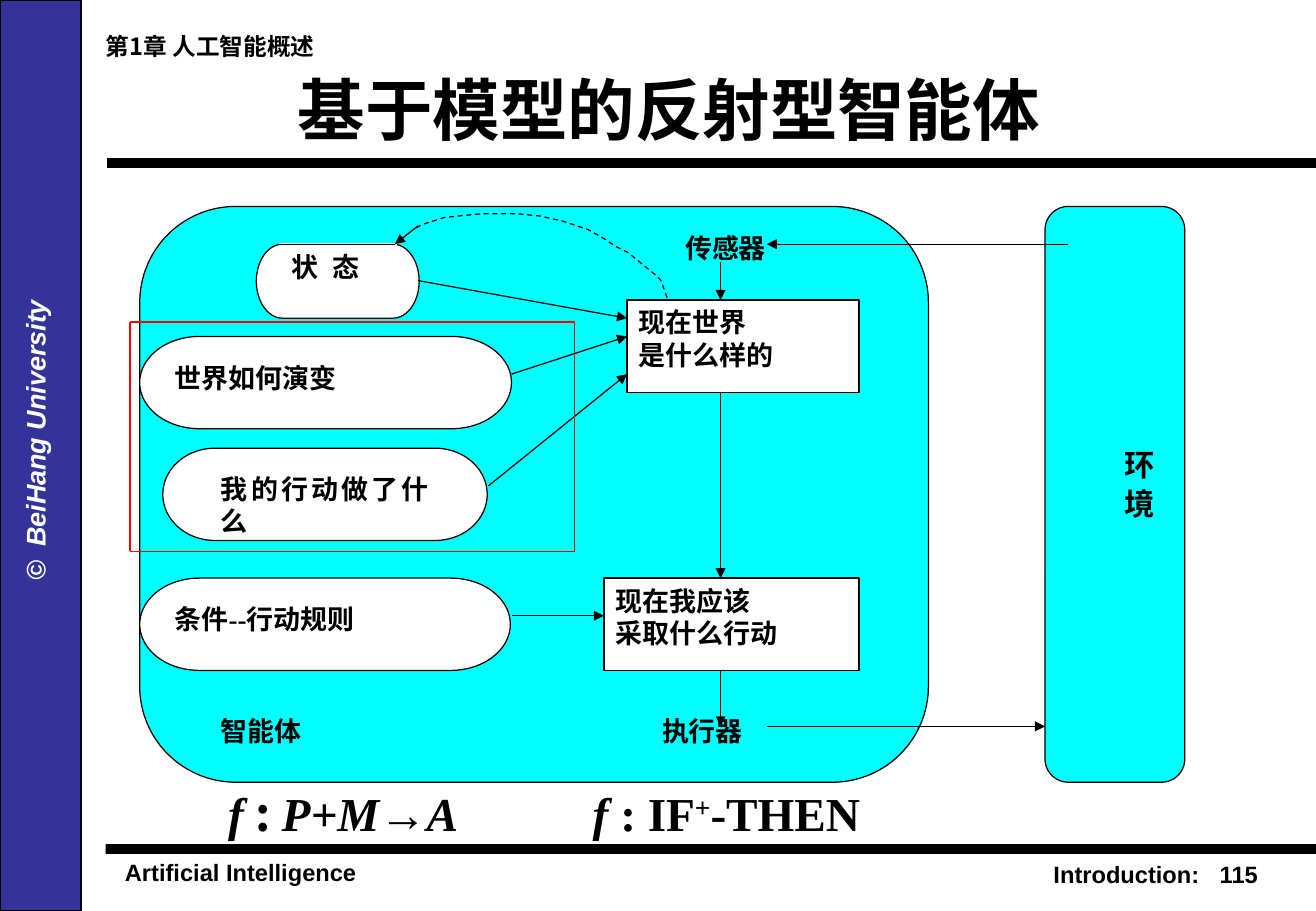
import pptx
import pptx.util
import pptx.dml.color
import pptx.enum.dml
import pptx.enum.lang
import pptx.enum.shapes
import pptx.enum.text
import pptx.oxml.ns
from lxml import etree

Inches = pptx.util.Inches
SHAPE = pptx.enum.shapes.MSO_SHAPE
ALIGN = pptx.enum.text.PP_ALIGN
COLORS = {"ink": "000000", "paper": "FFFFFF", "agent": "00FFFF",
          "band": "333399", "frame": "FF0000"}
SANS, SERIF = "Noto Sans CJK SC", "Times New Roman"
BODY = {"size": 16, "name": SERIF, "east": "Arial"}
FOOTER = {"size": 14, "name": "Arial"}


def rgb(name):
    return pptx.dml.color.RGBColor.from_string(COLORS[name])


def add_run(p, text, size, name, color="ink", italic=False, east=None, **attrs):
    r = p.add_run()
    r.text = text
    r.font.color.rgb = rgb(color)
    values = {"size": pptx.util.Pt(size), "name": name, "bold": True,
              "italic": italic,
              "language_id": pptx.enum.lang.MSO_LANGUAGE_ID.ENGLISH_US}
    for key, value in values.items():
        setattr(r.font, key, value)
    rpr = r.font._element
    etree.SubElement(rpr, pptx.oxml.ns.qn("a:ea"), typeface=east or name)
    for key, value in attrs.items():
        rpr.set(key, value)


def write(sp, paragraphs, align, wrap=True, middle=False, tab=None):
    tf = sp.text_frame
    anchor = pptx.enum.text.MSO_ANCHOR
    values = {"word_wrap": wrap,
              "vertical_anchor": anchor.MIDDLE if middle else anchor.TOP,
              "margin_left": Inches(0.1), "margin_right": Inches(0.1),
              "margin_top": Inches(0.05), "margin_bottom": Inches(0.05)}
    for key, value in values.items():
        setattr(tf, key, value)
    for i, runs in enumerate(paragraphs):
        p = tf.add_paragraph() if i else tf.paragraphs[0]
        p.alignment = align
        if tab:
            tabs = etree.SubElement(p._p.get_or_add_pPr(), pptx.oxml.ns.qn("a:tabLst"))
            etree.SubElement(tabs, pptx.oxml.ns.qn("a:tab"),
                             pos=str(Inches(tab)), algn="l")
        for text, fmt in runs:
            add_run(p, text, **fmt)


def add_text(s, at, runs, align=ALIGN.CENTER, **options):
    sp = s.shapes.add_textbox(*map(Inches, at))
    write(sp, [runs], align, **options)
    return sp


def add_box(s, kind, at, fill, line=None, width=0.75):
    sp = s.shapes.add_shape(kind, *map(Inches, at))
    sp.shadow.inherit = False
    sp.fill.solid()
    sp.fill.fore_color.rgb = rgb(fill)
    if line:
        sp.line.color.rgb = rgb(line)
        sp.line.width = pptx.util.Pt(width)
    else:
        sp.line.fill.background()
    return sp


def add_label(s, at, lines, fill, line, size=16):
    sp = add_box(s, SHAPE.RECTANGLE, at, fill, line)
    write(sp, [[(text, {**BODY, "size": size})] for text in lines], ALIGN.JUSTIFY)
    return sp


def add_line(s, start, end, color="ink", width=0.75, arrow=False):
    points = map(Inches, (*start, *end))
    c = s.shapes.add_connector(pptx.enum.shapes.MSO_CONNECTOR.STRAIGHT, *points)
    c.line.color.rgb = rgb(color)
    c.line.width = pptx.util.Pt(width)
    sp_pr = c._element.spPr
    if arrow:
        ln = sp_pr.find(pptx.oxml.ns.qn("a:ln"))
        etree.SubElement(ln, pptx.oxml.ns.qn("a:tailEnd"), type="triangle")
    etree.SubElement(sp_pr, pptx.oxml.ns.qn("a:effectLst"))


def add_dashed_curve(s, points):
    vertices = [(Inches(x), Inches(y)) for x, y in points]
    fb = s.shapes.build_freeform(*vertices[0])
    fb.add_line_segments(vertices[1:], close=False)
    sp = fb.convert_to_shape()
    sp.shadow.inherit = False
    sp.fill.background()
    sp.line.color.rgb = rgb("ink")
    sp.line.width = pptx.util.Pt(0.75)
    sp.line.dash_style = pptx.enum.dml.MSO_LINE.DASH


def add_page_frame(s):
    add_text(s, (0.93, 7.01, 2.17, 0.33), [("Artificial Intelligence", FOOTER)],
             ALIGN.LEFT, wrap=False)
    add_text(s, (7.23, 7.03, 3.22, 0.33),
             [("Introduction:", FOOTER), (" ", {**FOOTER, "spc": "800"}),
              ("115", FOOTER)], ALIGN.RIGHT)
    add_box(s, SHAPE.RECTANGLE, (0.87, 6.95, 9.96, 0.08), "ink")
    add_box(s, SHAPE.RECTANGLE, (0, 0, 0.67, 7.5), "band", "ink", 1)
    add_line(s, (0.88, 1.34), (10.83, 1.34), width=6)
    side = {"size": 16, "name": "Arial", "color": "paper", "italic": True}
    owner = add_text(s, (-3.3, 3.41, 7.18, 0.37),
                     [("©", side), (" ", {**side, "spc": "400"}),
                      ("BeiHang University ", side)])
    owner.rotation = 270
    add_text(s, (0.9, 0.46, 9.21, 0.87),
             [("基于模型的反射型智能体", {"size": 40, "name": SANS})], middle=True)
    add_text(s, (0, 0.21, 3.46, 0.34),
             [("第1章 人工智能概述", {"size": 14, "name": SANS})])


def add_agent_diagram(s):
    for at in [(1.15, 1.7, 6.49, 4.74), (8.6, 1.7, 1.15, 4.74)]:
        add_box(s, SHAPE.ROUNDED_RECTANGLE, at, "agent", "ink")
    for at, text in [((5.54, 1.86, 1.34, 0.46), "传感器"),
                     ((5.35, 5.83, 1.34, 0.46), "执行器"),
                     ((1.72, 5.83, 0.95, 0.46), "智能体")]:
        add_label(s, at, [text], "agent", "agent")
    for at, lines in [((5.16, 2.47, 1.91, 0.76), ["现在世界", "是什么样的"]),
                      ((4.97, 4.76, 2.1, 0.76), ["现在我应该", "采取什么行动"])]:
        add_label(s, at, lines, "paper", "ink")
    for outer, inner, text in [
            ((2.11, 2.01, 1.34, 0.61), (2.3, 2.01, 0.96, 0.46), "状"),
            ((1.15, 2.77, 3.06, 0.76), (1.34, 2.93, 2.48, 0.46), "世界如何演变"),
            ((1.34, 3.69, 2.67, 0.76), (1.72, 3.84, 1.91, 0.46), "我的行动做了什么"),
            ((1.15, 4.76, 3.05, 0.76), (1.34, 4.91, 2.48, 0.46), "条件--行动规则")]:
        add_box(s, SHAPE.FLOWCHART_TERMINATOR, outer, "paper", "ink")
        label = add_label(s, inner, [text], "paper", "paper")
        if text == "状":
            p = label.text_frame.paragraphs[0]
            add_run(p, " ", **BODY, spc="400")
            add_run(p, "态", **BODY)
    env = add_label(s, (8.79, 3.54, 0.76, 1.23), ["环 境"], "agent", "agent", 18)
    env.text_frame._txBody.bodyPr.set("vert", "eaVert")


def add_flows(s):
    for start, end in [((8.79, 2.01), (6.31, 2.01)), ((5.93, 2.16), (5.93, 2.47)),
                       ((5.93, 3.23), (5.93, 4.76)), ((5.93, 5.52), (5.93, 5.98)),
                       ((6.31, 5.98), (8.6, 5.98)), ((3.44, 2.31), (5.16, 2.62)),
                       ((4.21, 3.08), (5.16, 2.77)), ((4.02, 4), (5.16, 3.08)),
                       ((4.21, 5.07), (4.97, 5.07)), ((3.44, 1.86), (3.25, 2.01))]:
        add_line(s, start, end, arrow=True)
    add_dashed_curve(s, [(5.49, 2.45), (5.44, 2.31), (5.39, 2.26), (5.17, 2.08),
                         (5.07, 2.03), (4.98, 1.97), (4.84, 1.89), (4.63, 1.82),
                         (4.45, 1.78), (4.26, 1.76), (3.96, 1.76), (3.66, 1.79),
                         (3.47, 1.85), (3.42, 1.88)])
    add_line(s, (2.3, 2.01), (3.25, 2.01))
    corners = [(1.07, 2.65), (4.73, 2.65), (4.73, 4.54), (1.07, 4.54)]
    for start, end in zip(corners, corners[1:] + corners[:1]):
        add_line(s, start, end, "frame")


def add_formula(s):
    upright = {"size": 28, "name": SERIF}
    slanted = {**upright, "italic": True}
    add_text(s, (1.78, 6.41, 5.77, 0.57),
             [("f ", slanted), (": ", {**upright, "name": "Noto Sans CJK KR"}),
              ("P+M→A\tf ", slanted), (": IF", upright),
              ("+", {**upright, "baseline": "30000"}), ("-THEN", upright)],
             ALIGN.LEFT, tab=3)


def main():
    prs = pptx.Presentation()
    prs.slide_width, prs.slide_height = Inches(10.83), Inches(7.5)
    s = prs.slides.add_slide(prs.slide_layouts[6])
    add_page_frame(s)
    add_agent_diagram(s)
    add_flows(s)
    add_formula(s)
    prs.save("out.pptx")


if __name__ == "__main__":
    main()
